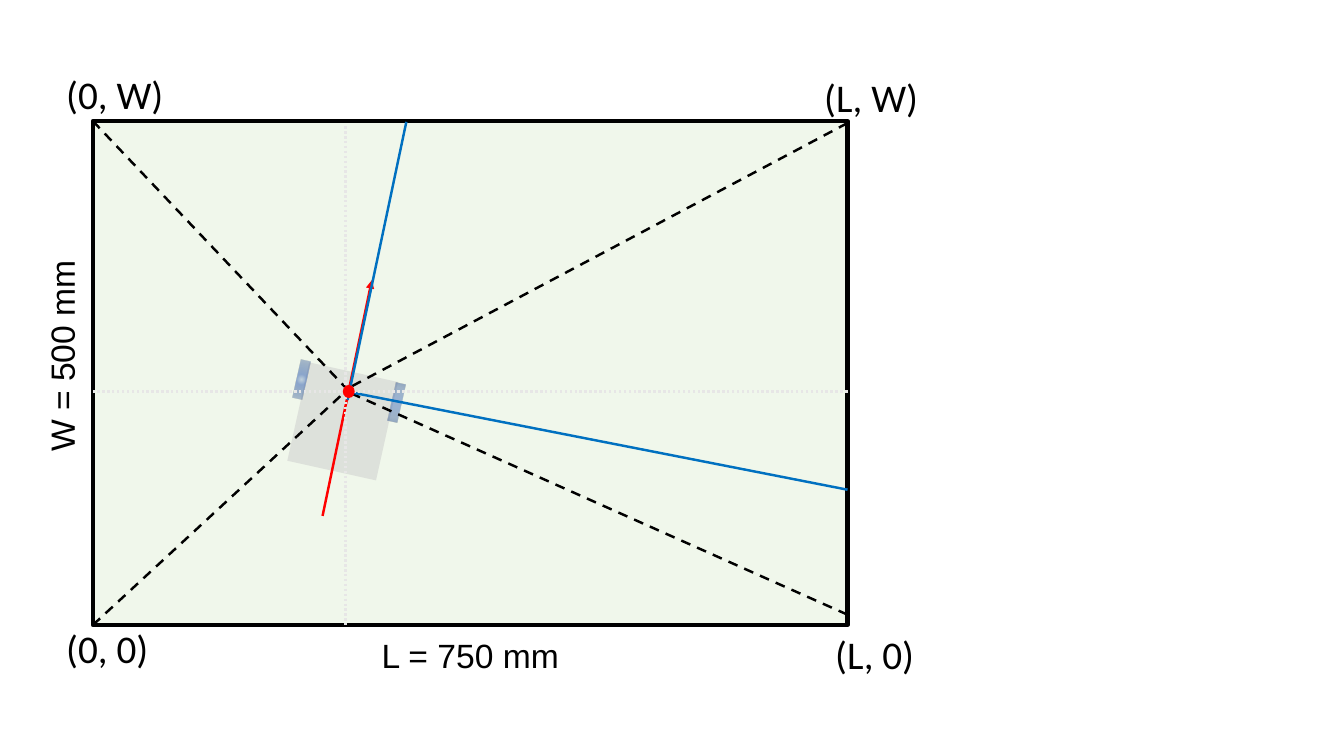
import pptx
import pptx.dml.color
import pptx.enum.dml
import pptx.enum.shapes
import pptx.enum.text
import pptx.oxml
import pptx.oxml.ns
import pptx.util
from lxml import etree

Cm, Pt = pptx.util.Cm, pptx.util.Pt
SHAPES = pptx.enum.shapes.MSO_SHAPE
DASHES = pptx.enum.dml.MSO_LINE
qn = pptx.oxml.ns.qn
COLORS = {
    "black": "000000", "field": "E2F0D9", "body": "C9C9C9", "red": "FF0000",
    "blue": "0070C0", "guide": "E7E6E6",
    "wheel_light": "3864B3", "wheel_mid": "2F5597", "wheel_dark": "2C4F8C",
}
WHEEL_STOPS = ((0, "wheel_light"), (23, "wheel_light"), (69, "wheel_mid"), (97, "wheel_dark"))
TILT = 12.5


def rgb(name):
    """Return the palette colour of that name."""
    return pptx.dml.color.RGBColor.from_string(COLORS[name])


def add_part(slide, box, kind, place, color, opacity=100, tilt=0):
    """Add a filled, unlined shape at a place relative to the box."""
    x, y, width, height = place
    part = slide.shapes.add_shape(kind, Cm(box[0] + x), Cm(box[1] + y), Cm(width), Cm(height))
    part.shadow.inherit = False
    part.rotation = tilt
    part.fill.solid()
    part.fill.fore_color.rgb = rgb(color)
    part.line.fill.background()
    if opacity < 100:
        tint = part.fill._xPr.find(qn("a:solidFill"))[0]
        etree.SubElement(tint, qn("a:alpha"), val=str(opacity * 1000))
    return part


def add_ray(slide, box, start, end, color, dash=None, arrow=False):
    """Add a straight line between two points relative to the box."""
    ray = slide.shapes.add_connector(
        pptx.enum.shapes.MSO_CONNECTOR.STRAIGHT,
        Cm(box[0] + start[0]), Cm(box[1] + start[1]), Cm(box[0] + end[0]), Cm(box[1] + end[1]))
    ray.line.color.rgb = rgb(color)
    ray.line.width = Pt(1.75)
    if dash:
        ray.line.dash_style = dash
    if arrow:
        etree.SubElement(ray.line._get_or_add_ln(), qn("a:tailEnd"), type="triangle")
    etree.SubElement(ray._element.spPr, qn("a:effectLst"))


def shade_wheel(wheel, opacities):
    """Replace the wheel's fill with a translucent radial gradient."""
    stops = "".join(
        f'<a:gs pos="{pos * 1000}"><a:srgbClr val="{COLORS[color]}">'
        f'<a:alpha val="{opacity * 1000}"/></a:srgbClr></a:gs>'
        for (pos, color), opacity in zip(WHEEL_STOPS, opacities))
    gradient = pptx.oxml.parse_xml(
        f'<a:gradFill {pptx.oxml.ns.nsdecls("a")} rotWithShape="1"><a:gsLst>{stops}</a:gsLst>'
        '<a:path path="circle"><a:fillToRect l="50000" t="50000" r="50000" b="50000"/></a:path>'
        '</a:gradFill>')
    solid = wheel._element.spPr.find(qn("a:solidFill"))
    solid.getparent().replace(solid, gradient)


def draw_field(slide, box):
    """Draw the bordered field that fills the box."""
    field = add_part(slide, box, SHAPES.RECTANGLE, (0, 0, *box[2:]), "field", 51)
    field.line.color.rgb = rgb("black")
    field.line.width = Pt(3)


def draw_robot(slide, box):
    """Draw the tilted robot body and its two wheels."""
    add_part(slide, box, SHAPES.RECTANGLE, (5.15, 6.3, 2.29, 2.54), "body", 47, TILT)
    for x, y, opacities in ((5.13, 6.04, (25, 55, 43, 35)), (7.54, 6.6, (45, 46, 42, 50))):
        wheel = add_part(slide, box, SHAPES.RECTANGLE, (x, y, 0.25, 0.97), "wheel_light", tilt=TILT)
        shade_wheel(wheel, opacities)


def draw_rays(slide, box):
    """Draw the corner lines, the heading arrow and the sensor beams."""
    width, height = box[2:]
    hub = (6.37, 6.81)
    for corner, end in (((0, 0), (6.4, 6.75)), ((width, 0.05), (6.4, 6.75)),
                        ((width, 12.44), (6.55, 6.88)), ((0, height), hub)):
        add_ray(slide, box, corner, end, "black", DASHES.DASH)
    add_ray(slide, box, (5.79, 9.95), (7.03, 4.01), "red", arrow=True)
    add_ray(slide, box, (7.9, 0.02), (6.42, 7.03), "blue")
    add_ray(slide, box, (width, 9.29), hub, "blue")


def draw_guides(slide, box):
    """Draw the dotted guides through the robot centre."""
    width, height = box[2:]
    add_ray(slide, box, (width, 6.81), (0, 6.81), "guide", DASHES.ROUND_DOT)
    add_ray(slide, box, (6.37, 0.13), (6.37, height), "guide", DASHES.ROUND_DOT)


def draw_labels(slide, box):
    """Write the side lengths and corner coordinates around the box."""
    side, corner = ("Arial", 24, 1.27), ("Calibri", 28, 1.45)
    for text, x, y, width, (font, size, height), turn in (
            ("L = 750 mm", 7.03, 12.83, 5.03, side, 0),
            ("W = 500 mm", -3.48, 5.26, 5.38, side, 270),
            ("(L, W)", 18.18, -1.32, 2.9, corner, 0),
            ("(L, 0)", 18.46, 12.7, 2.54, corner, 0),
            ("(0, W)", -0.92, -1.4, 3, corner, 0),
            ("(0, 0)", -0.92, 12.55, 2.62, corner, 0)):
        label = slide.shapes.add_textbox(Cm(box[0] + x), Cm(box[1] + y), Cm(width), Cm(height))
        label.rotation = turn
        label.text_frame.word_wrap = False
        label.text_frame.auto_size = pptx.enum.text.MSO_AUTO_SIZE.SHAPE_TO_FIT_TEXT
        label.text_frame.text = text
        lettering = label.text_frame.paragraphs[0].font
        lettering.name, lettering.size = font, Pt(size)
        lettering.color.rgb = rgb("black")


def draw_center(slide, box):
    """Mark the robot centre."""
    add_part(slide, box, SHAPES.OVAL, (6.3, 6.65, 0.3, 0.33), "red")


def main():
    """Build the slide and save it."""
    deck = pptx.Presentation()
    deck.slide_width, deck.slide_height = Cm(33.87), Cm(19.05)
    slide = deck.slides.add_slide(deck.slide_layouts[6])
    field_box = (2.34, 3.05, 19.02, 12.7)
    for draw in (draw_field, draw_robot, draw_rays, draw_guides, draw_labels, draw_center):
        draw(slide, field_box)
    deck.save("out.pptx")


if __name__ == "__main__":
    main()
